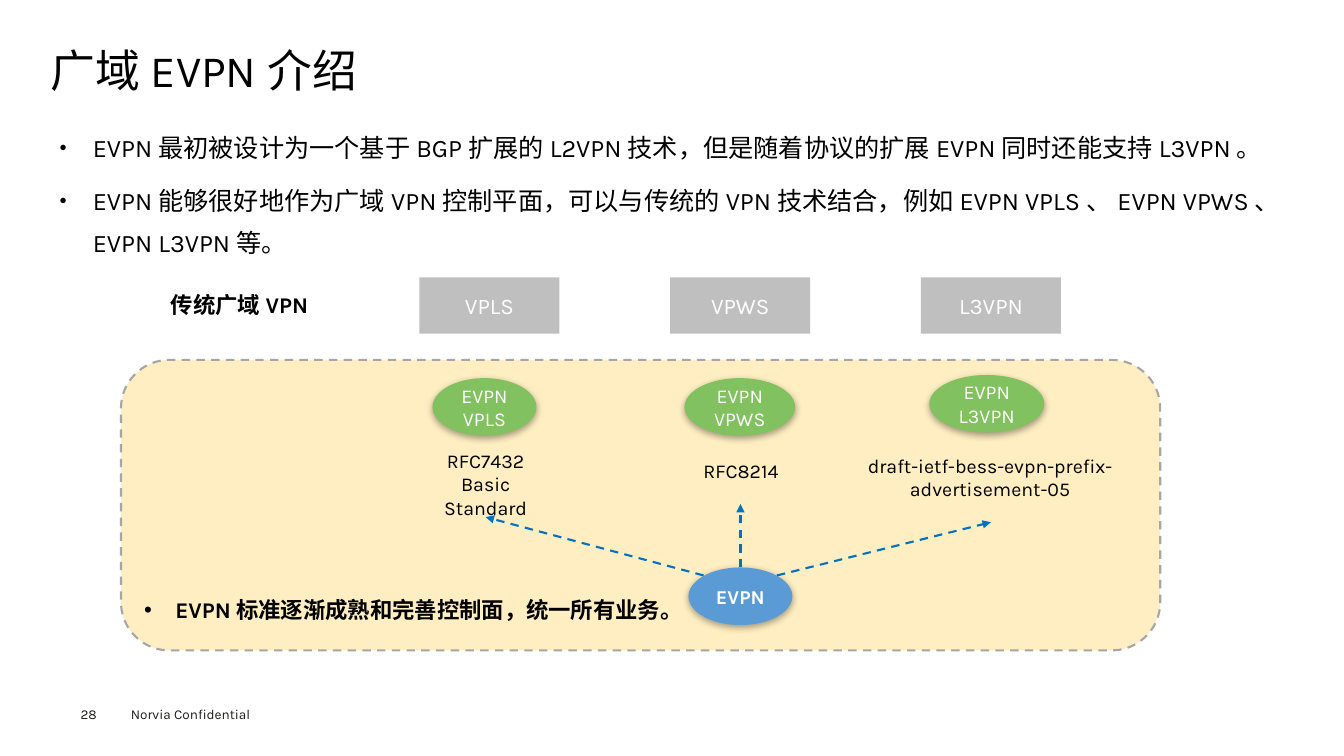
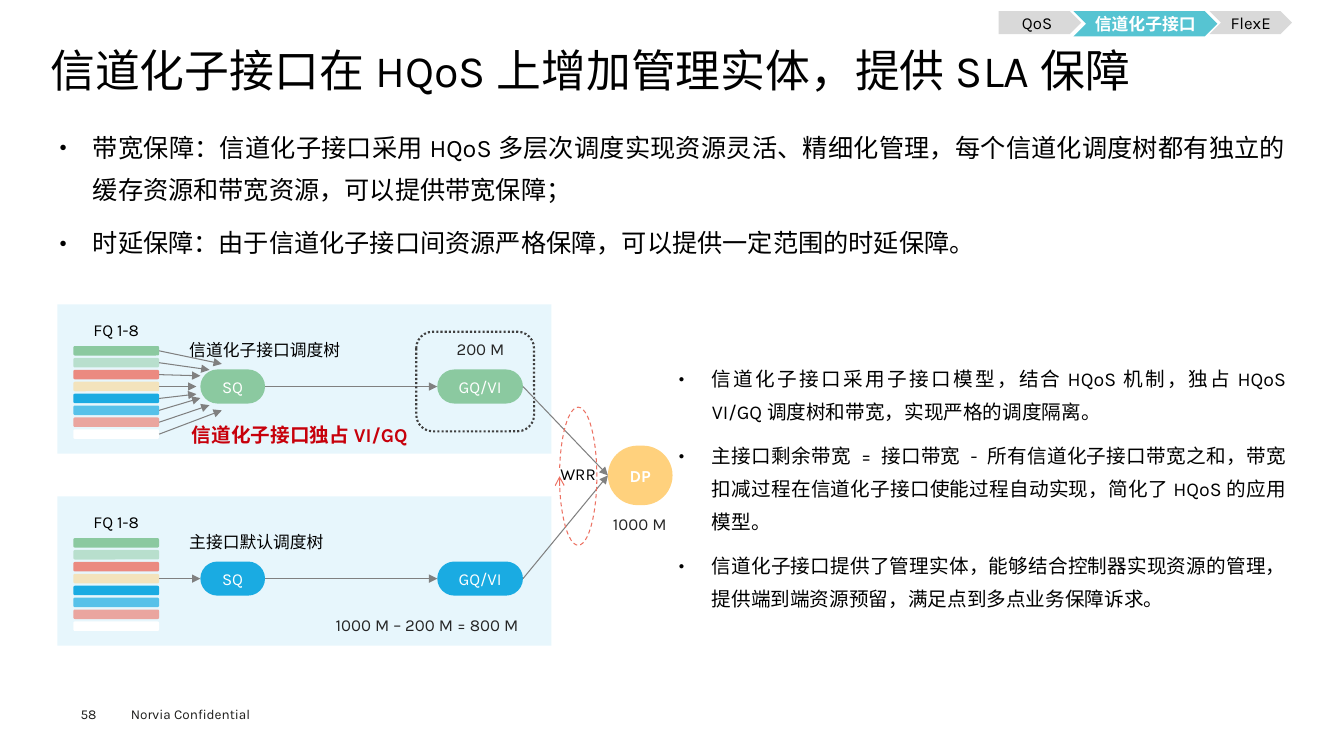
from lxml import etree
from pptx import Presentation
from pptx import util as u
from pptx.dml.color import RGBColor
from pptx.enum import dml, shapes, text
from pptx.oxml import ns

# Shared look
FONT = "Karla"
BLACK = RGBColor(0x00, 0x00, 0x00)
WHITE = RGBColor(0xFF, 0xFF, 0xFF)
INK = RGBColor(0x1D, 0x1D, 0x1B)
DARK = RGBColor(0x26, 0x26, 0x26)
FRAME = RGBColor(0x40, 0x40, 0x40)
ARROW_GREY = RGBColor(0x80, 0x80, 0x80)
BORDER_GREY = RGBColor(0xA6, 0xA6, 0xA6)
BOX_GREY = RGBColor(0xBF, 0xBF, 0xBF)
TAB_GREY = RGBColor(0xD9, 0xD9, 0xD9)
CREAM = RGBColor(0xFE, 0xEE, 0xC1)
LEAF = RGBColor(0x81, 0xC1, 0x5F)
STEEL = RGBColor(0x5B, 0x9B, 0xD5)
NAVY = RGBColor(0x00, 0x70, 0xC0)
MINT = RGBColor(0x8B, 0xC9, 0xA0)
CORAL = RGBColor(0xEC, 0x70, 0x61)
AMBER = RGBColor(0xFF, 0xD1, 0x7D)
SKY = RGBColor(0x1A, 0xAB, 0xE2)
TEAL = RGBColor(0x56, 0xC4, 0xD2)
RED = RGBColor(0xC7, 0x00, 0x0B)

KIND = shapes.MSO_SHAPE
DASH = dml.MSO_LINE
LEFT, CENTER, JUSTIFY = (text.PP_ALIGN.LEFT, text.PP_ALIGN.CENTER,
                         text.PP_ALIGN.JUSTIFY)
TOP, MIDDLE = text.MSO_ANCHOR.TOP, text.MSO_ANCHOR.MIDDLE
SIDE_TOP, SIDE_LEFT, SIDE_RIGHT = 0, 1, 3
NO_INSETS = (0, 0)
BODY_INSETS = (0.23, 0.1)
BODY_STYLE = dict(align=JUSTIFY, line=1.4, before=7.9, bullet="●",
                  bullet_size=50, indent=0.84, insets=BODY_INSETS)

# Queue bars from top to bottom: colour and opacity in percent
QUEUES = [(MINT, 100), (MINT, 50), (CORAL, 80), (AMBER, 50),
          (SKY, 100), (SKY, 70), (CORAL, 60), (WHITE, 100)]


def element(parent, tag, **attributes):
    return etree.SubElement(parent, ns.qn(tag), attributes)


def cm(*values):
    return [u.Cm(value) for value in values]


# Text
def write(box, words, size=12, colour=BLACK, bold=False, align=LEFT,
          anchor=TOP, insets=(0.25, 0.13), wrap=True, line=None, before=0,
          bullet=None, bullet_size=100, indent=0):
    """Fill a shape with text, one paragraph per line of words."""
    frame = box.text_frame
    frame.word_wrap = wrap
    frame.auto_size = text.MSO_AUTO_SIZE.NONE
    frame.vertical_anchor = anchor
    frame.margin_left = frame.margin_right = u.Cm(insets[0])
    frame.margin_top = frame.margin_bottom = u.Cm(insets[1])
    for index, sentence in enumerate(words.split("\n")):
        para = frame.add_paragraph() if index else frame.paragraphs[0]
        para.alignment = align
        if line:
            para.line_spacing = line
        para.space_before = u.Pt(before if index else 0)
        if bullet:
            props = para._p.get_or_add_pPr()
            props.set("marL", str(u.Cm(indent)))
            props.set("indent", str(-u.Cm(indent)))
            element(props, "a:buSzPct", val=str(bullet_size * 1000))
            element(props, "a:buFont", typeface="Arial")
            element(props, "a:buChar", char=bullet)
        span = para.add_run()
        span.text = sentence
        span.font.name = FONT
        span.font.size = u.Pt(size)
        span.font.bold = bold
        span.font.color.rgb = colour
        element(span._r.get_or_add_rPr(), "a:ea", typeface=FONT)


def add_text(page, place, words, **style):
    write(page.shapes.add_textbox(*cm(*place)), words, **style)


# Shapes and arrows
def add_block(page, kind, place, fill=None, opacity=100, outline=None,
              words=None, **style):
    """Draw a preset shape; outline is (colour, points, dash)."""
    block = page.shapes.add_shape(kind, *cm(*place))
    block.shadow.inherit = False
    if fill is None:
        block.fill.background()
    else:
        block.fill.solid()
        block.fill.fore_color.rgb = fill
        if opacity < 100:
            tint = block._element.spPr.find(".//" + ns.qn("a:srgbClr"))
            element(tint, "a:alpha", val=str(opacity * 1000))
    if outline:
        block.line.color.rgb, block.line.dash_style = outline[0], outline[2]
        block.line.width = u.Pt(outline[1])
    else:
        block.line.fill.background()
    if words:
        write(block, words, **dict(dict(colour=WHITE, align=CENTER,
                                        anchor=MIDDLE, insets=NO_INSETS), **style))
    return block


def add_arrowhead(item, kind):
    element(item.line._get_or_add_ln(), "a:tailEnd", type=kind)


def add_arrow(page, start, end, colour=ARROW_GREY, width=0.75, dash=None):
    """Each end is a point in cm or a (shape, side) pair."""
    arrow = page.shapes.add_connector(shapes.MSO_CONNECTOR.STRAIGHT, 0, 0, 0, 0)
    if isinstance(start[0], (int, float)):
        arrow.begin_x, arrow.begin_y = cm(*start)
    else:
        arrow.begin_connect(*start)
    if isinstance(end[0], (int, float)):
        arrow.end_x, arrow.end_y = cm(*end)
    else:
        arrow.end_connect(*end)
    arrow.line.color.rgb = colour
    arrow.line.width = u.Pt(width)
    if dash:
        arrow.line.dash_style = dash
    add_arrowhead(arrow, "triangle")
    element(arrow._element.spPr, "a:effectLst")


def add_oval(page, place, fill, words, **style):
    """Draw a labelled ellipse with a soft shadow below it."""
    oval = add_block(page, KIND.OVAL, place, fill, words=words, size=14, **style)
    effects = oval._element.spPr.find(ns.qn("a:effectLst"))
    shade = element(effects, "a:outerShdw", blurRad=str(u.Pt(5)),
                    dist=str(u.Pt(1.8)), dir="5400000", rotWithShape="0")
    element(element(shade, "a:srgbClr", val="000000"), "a:alpha", val="35000")
    return oval


def add_pill(page, place, fill, words, **style):
    pill = add_block(page, KIND.ROUNDED_RECTANGLE, place, fill, words=words,
                     wrap=False, **style)
    pill.adjustments[0] = 0.5
    return pill


# Page frame: title, body bullets, footer
def add_page(deck, title, body, number):
    page = deck.slides.add_slide(deck.slide_layouts[5])
    heading = page.shapes.title
    heading.left, heading.top, heading.width, heading.height = cm(
        1.27, 1.24, 31.37, 1.35)
    write(heading, title, size=32, line=0.9, insets=NO_INSETS)
    add_text(page, (1.27, 2.92, 31.37, 3.9), body, size=18, **BODY_STYLE)
    add_text(page, (3.05, 17.65, 4.06, 0.69), "Norvia Confidential",
             size=9.7, colour=INK)
    add_text(page, (2.03, 17.78, 1.4, 0.41), number, size=9.7, colour=INK,
             insets=NO_INSETS)
    return page


def build_evpn_page(deck):
    page = add_page(
        deck, "广域EVPN介绍",
        "EVPN最初被设计为一个基于BGP扩展的L2VPN技术，但是随着协议的扩展EVPN同时还能支持L3VPN。\n"
        "EVPN能够很好地作为广域VPN控制平面，可以与传统的VPN技术结合，例如EVPN VPLS、EVPN VPWS、EVPN L3VPN等。",
        "28")

    # Traditional services
    add_text(page, (4.06, 7.21, 3.99, 0.94), "传统广域VPN", size=16,
             bold=True, wrap=False)
    for column, service in enumerate(("VPLS", "VPWS", "L3VPN")):
        add_block(page, KIND.RECTANGLE, (10.57 + column * 6.32, 6.99, 3.53, 1.42),
                  BOX_GREY, words=service, size=16)

    # EVPN services and their standards
    add_block(page, KIND.ROUNDED_RECTANGLE, (3.05, 9.07, 26.19, 7.32), CREAM,
              outline=(BORDER_GREY, 1.5, DASH.DASH))
    for service, place, standard, standard_place in (
            ("VPLS", (10.9, 9.53, 2.62, 1.45),
             "RFC7432\nBasic Standard", (10.31, 11.18, 3.86, 1.45)),
            ("VPWS", (17.25, 9.53, 2.79, 1.45),
             "RFC8214", (16.87, 11.43, 3.61, 0.86)),
            ("L3VPN", (23.42, 9.45, 2.9, 1.45),
             "draft-ietf-bess-evpn-prefix-advertisement-05",
             (21.59, 11.3, 6.73, 1.45))):
        add_oval(page, place, LEAF, "EVPN\n" + service)
        add_text(page, standard_place, standard, size=14, align=CENTER)

    # Common control plane
    core = add_oval(page, (17.35, 14.3, 2.62, 1.45), STEEL, "EVPN", bold=True)
    for start, end in (((17.73, 14.5), (12.24, 13.03)),
                       ((core, SIDE_TOP), (18.66, 12.7)),
                       ((19.58, 14.5), (24.97, 13.16))):
        add_arrow(page, start, end, NAVY, 1.5, DASH.DASH)
    add_text(page, (3.38, 14.55, 14, 1.27),
             "EVPN标准逐渐成熟和完善控制面，统一所有业务。", size=16, bold=True,
             line=1.5, bullet="•", indent=0.79)


def add_scheduling_tree(page, top, fill, caption):
    """Draw one panel; return its queue bars, SQ pill and GQ pill."""
    add_block(page, KIND.RECTANGLE, (1.45, top, 12.45, 3.76), SKY, opacity=10)
    bars = [add_block(page, KIND.ROUNDED_RECTANGLE,
                      (1.85, top + 1.05 + row * 0.3, 2.16, 0.24), tint, opacity)
            for row, (tint, opacity) in enumerate(QUEUES)]
    add_text(page, (1.85, top + 0.25, 2.16, 0.76), "FQ 1-8", align=CENTER)
    add_text(page, (4.52, top + 0.76, 4.6, 0.76), caption)
    queue = add_pill(page, (5.05, top + 1.64, 1.63, 0.86), fill, "SQ")
    group = add_pill(page, (11.02, top + 1.64, 2.16, 0.86), fill, "GQ/VI")
    add_arrow(page, (queue, SIDE_RIGHT), (group, SIDE_LEFT))
    return bars, queue, group


def build_hqos_page(deck):
    page = add_page(
        deck, "信道化子接口在HQoS上增加管理实体，提供SLA保障",
        "带宽保障：信道化子接口采用HQoS多层次调度实现资源灵活、精细化管理，每个信道化调度树都有独立的缓存资源和带宽资源，可以提供带宽保障；\n"
        "时延保障：由于信道化子接口间资源严格保障，可以提供一定范围的时延保障。",
        "58")
    add_text(page, (16.87, 8.92, 15.77, 6.32),
             "信道化子接口采用子接口模型，结合HQoS机制，独占HQoS VI/GQ调度树和带宽，实现严格的调度隔离。\n"
             "主接口剩余带宽 = 接口带宽 - 所有信道化子接口带宽之和，带宽扣减过程在信道化子接口使能过程自动实现，简化了HQoS的应用模型。\n"
             "信道化子接口提供了管理实体，能够结合控制器实现资源的管理，提供端到端资源预留，满足点到多点业务保障诉求。",
             size=14, **BODY_STYLE)

    # Scheduling trees
    bars, _, channel_group = add_scheduling_tree(page, 7.67, MINT,
                                                 "信道化子接口调度树")
    fan_ends = [(5.59, 9.17), (5.28, 9.32), (5.05, 9.47), (4.95, 9.74),
                (4.95, 9.93), (5.05, 10.03), (5.28, 10.21), (5.59, 10.34)]
    for bar, end in zip(bars, fan_ends):
        add_arrow(page, (bar, SIDE_RIGHT), end)
    add_block(page, KIND.ROUNDED_RECTANGLE, (10.49, 8.36, 2.97, 2.51),
              outline=(FRAME, 1.5, DASH.ROUND_DOT))
    add_text(page, (4.19, 10.52, 6.73, 0.86), "信道化子接口独占VI/GQ", size=14,
             colour=RED, bold=True, align=CENTER)
    bars, queue, main_group = add_scheduling_tree(page, 12.51, SKY,
                                                  "主接口默认调度树")
    add_arrow(page, (bars[3], SIDE_RIGHT), (queue, SIDE_LEFT))

    # Physical port and weighted scheduling
    port = add_pill(page, (15.32, 11.23, 1.63, 1.5), AMBER, "DP", bold=True)
    for group in (channel_group, main_group):
        add_arrow(page, (group, SIDE_RIGHT), (port, SIDE_LEFT))
    loop = add_block(page, KIND.ARC, (14.1, 10.26, 0.94, 3.48),
                     outline=(CORAL, 0.75, DASH.DASH))
    loop.rotation = 180
    loop.adjustments[0], loop.adjustments[1] = 14.56, 0
    add_arrowhead(loop, "arrow")
    add_text(page, (13.87, 11.56, 1.63, 0.76), "WRR", anchor=MIDDLE)

    # Bandwidth figures
    for place, amount in (((11.13, 8.53, 1.96, 0.51), "200 M"),
                          ((7.77, 15.49, 5.99, 0.51), "1000 M – 200 M = 800 M"),
                          ((15.21, 12.95, 1.83, 0.51), "1000 M")):
        add_text(page, place, amount, colour=DARK, align=CENTER, anchor=MIDDLE,
                 insets=NO_INSETS)

    # Section tabs
    for kind, place, fill, label, colour, bold in (
            (KIND.PENTAGON, (25.17, 0.28, 2.08, 0.58), TAB_GREY, "QoS", BLACK, False),
            (KIND.CHEVRON, (30.48, 0.28, 2.08, 0.58), TAB_GREY, "FlexE", BLACK, False),
            (KIND.CHEVRON, (27.05, 0.28, 3.63, 0.64), TEAL, "信道化子接口", WHITE, True)):
        add_block(page, kind, place, fill, words=label, colour=colour, bold=bold,
                  wrap=False)


def main():
    deck = Presentation()
    deck.slide_width, deck.slide_height = cm(33.87, 19.05)
    build_evpn_page(deck)
    build_hqos_page(deck)
    deck.save("out.pptx")


if __name__ == "__main__":
    main()
